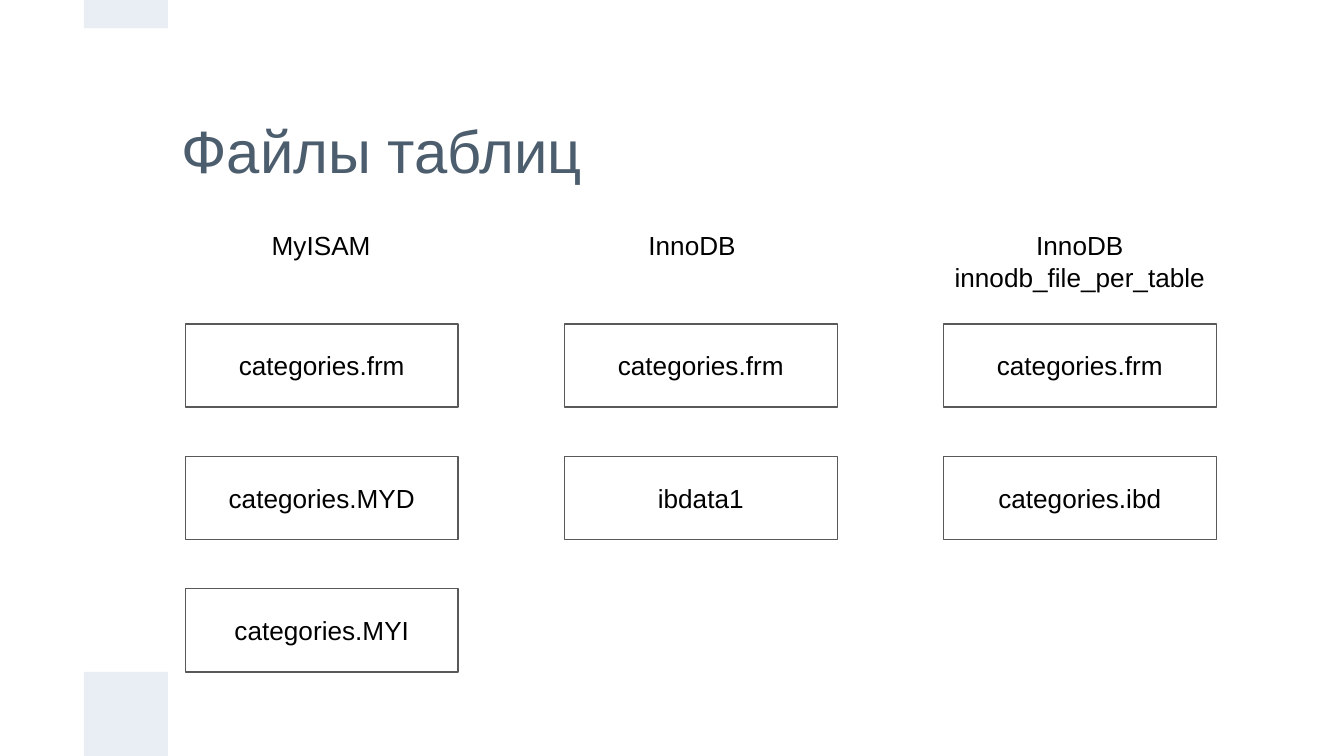
"""Build a slide comparing the table files of database storage engines."""
from pptx import Presentation
from pptx import util as u
from pptx.dml.color import RGBColor
from pptx.enum import shapes, text

WHITE = RGBColor(0xFF, 0xFF, 0xFF)
BLACK = RGBColor(0x00, 0x00, 0x00)
SLATE = RGBColor(0x4C, 0x5D, 0x6E)
PALE = RGBColor(0xE9, 0xED, 0xF4)
GREY = RGBColor(0x59, 0x59, 0x59)
FONT = "Arial"

LEFT, COL_STEP, BOX_W = 1.38, 2.82, 2.03
TOP, ROW_STEP, BOX_H = 2.41, 0.985, 0.62
LABEL_TOP = 1.61

ENGINES = [
    (["MyISAM"], (1.89, 1, 0.41),
     ["categories.frm", "categories.MYD", "categories.MYI"]),
    (["InnoDB"], (4.65, 1, 0.41),
     ["categories.frm", "ibdata1"]),
    (["InnoDB", "innodb_file_per_table"], (6.95, 2.17, 0.62),
     ["categories.frm", "categories.ibd"]),
]


def inches(*lengths):
    return [u.Inches(length) for length in lengths]


def set_text(s, lines, size, color, align, anchor):
    tf = s.text_frame
    tf.word_wrap = True
    tf.auto_size = text.MSO_AUTO_SIZE.NONE
    tf.vertical_anchor = anchor
    tf.margin_left = tf.margin_right = u.Inches(0.1)
    tf.margin_top = tf.margin_bottom = u.Inches(0.1)
    for i, line in enumerate(lines):
        p = tf.paragraphs[0] if i == 0 else tf.add_paragraph()
        p.text = line
        p.alignment = align
        p.font.name = FONT
        p.font.size = u.Pt(size)
        p.font.color.rgb = color


def add_rect(slide, x, y, w, h):
    s = slide.shapes.add_shape(shapes.MSO_SHAPE.RECTANGLE, *inches(x, y, w, h))
    s.shadow.inherit = False
    return s


def add_accent(slide, y, h):
    s = add_rect(slide, 0.625, y, 0.625, h)
    s.fill.solid()
    s.fill.fore_color.rgb = PALE
    s.line.fill.background()


def add_file_box(slide, col, row, name):
    s = add_rect(slide, LEFT + col * COL_STEP, TOP + row * ROW_STEP, BOX_W, BOX_H)
    s.fill.background()
    s.line.color.rgb = GREY
    s.line.width = u.Pt(0.75)
    set_text(s, [name], 14, BLACK, text.PP_ALIGN.CENTER, text.MSO_ANCHOR.MIDDLE)


def add_label(slide, lines, x, w, h):
    s = slide.shapes.add_textbox(*inches(x, LABEL_TOP, w, h))
    set_text(s, lines, 14, BLACK, text.PP_ALIGN.CENTER, text.MSO_ANCHOR.TOP)


def set_title(slide, words):
    s = slide.shapes.title
    s.left, s.top, s.width, s.height = inches(1.25, 0.62, 7.8, 0.98)
    set_text(s, [words], 32, SLATE, text.PP_ALIGN.LEFT, text.MSO_ANCHOR.MIDDLE)


def main():
    prs = Presentation()
    prs.slide_width, prs.slide_height = inches(10, 5.625)
    slide = prs.slides.add_slide(prs.slide_layouts.get_by_name("Title Only"))
    slide.background.fill.solid()
    slide.background.fill.fore_color.rgb = WHITE
    set_title(slide, "Файлы таблиц")
    add_accent(slide, 5, 0.625)
    add_accent(slide, 0, 0.21)
    for col, (label, place, files) in enumerate(ENGINES):
        add_label(slide, label, *place)
        for row, name in enumerate(files):
            add_file_box(slide, col, row, name)
    prs.save("out.pptx")


if __name__ == "__main__":
    main()
